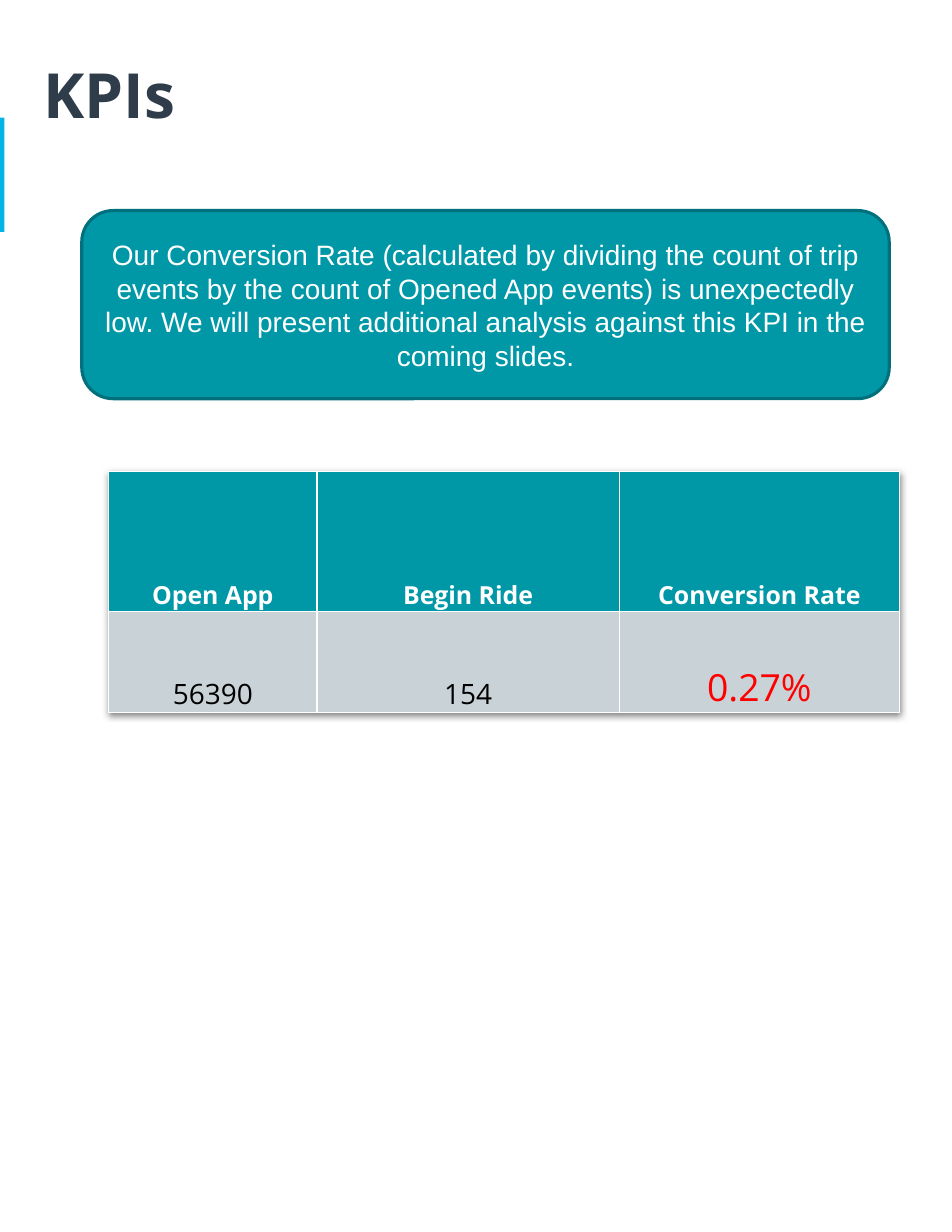
from dataclasses import dataclass

from lxml import etree
from pptx import Presentation
from pptx.dml.color import RGBColor
from pptx.enum.shapes import MSO_SHAPE
from pptx.enum.text import MSO_ANCHOR, PP_ALIGN
from pptx.oxml import parse_xml
from pptx.oxml.ns import nsdecls, qn
from pptx.util import Inches, Pt

RECT, ROUNDED = MSO_SHAPE.RECTANGLE, MSO_SHAPE.ROUNDED_RECTANGLE
LEFT, CENTER = PP_ALIGN.LEFT, PP_ALIGN.CENTER
TOP, MIDDLE, BOTTOM = MSO_ANCHOR.TOP, MSO_ANCHOR.MIDDLE, MSO_ANCHOR.BOTTOM

SLIDE_W, SLIDE_H = Inches(8.5), Inches(11)
COLS, ROWS = 34, 44


@dataclass(frozen=True)
class Theme:
    """Colours, fonts and type sizes of the deck."""
    teal: str = "0097A7"
    teal_dark: str = "00707C"
    cyan: str = "02B4E5"
    navy: str = "2E3D49"
    gray: str = "C9D3D7"
    white: str = "FFFFFF"
    black: str = "000000"
    red: str = "FF0000"
    heading_font: str = "Open Sans"
    body_font: str = "Arial"
    title: int = 40
    highlight: int = 24
    body: int = 18
    label: int = 16


THEME = Theme()


def col(n):
    """Return the width of n grid columns."""
    return int(SLIDE_W * n / COLS)


def row(n):
    """Return the height of n grid rows."""
    return int(SLIDE_H * n / ROWS)


def place(box):
    """Turn a box in grid units into left, top, width and height."""
    x, y, w, h = box
    return col(x), row(y), col(w), row(h)


def write(tf, text, *, size, color, font=THEME.heading_font, bold=False,
          align=LEFT, spacing=None):
    """Put one formatted paragraph in a text frame."""
    tf.word_wrap = True
    p = tf.paragraphs[0]
    p.alignment = align
    if spacing:
        p.line_spacing = spacing
    r = p.add_run()
    r.text = text
    r.font.size, r.font.name, r.font.bold = Pt(size), font, bold
    r.font.color.rgb = RGBColor.from_string(color)


def add_panel(s, kind, box, fill, line=None):
    """Add a filled shape with an optional outline."""
    sp = s.shapes.add_shape(kind, *place(box))
    sp.shadow.inherit = False
    sp.fill.solid()
    sp.fill.fore_color.rgb = RGBColor.from_string(fill)
    if line:
        sp.line.color.rgb = RGBColor.from_string(line)
        sp.line.width = Pt(2)
    else:
        sp.line.fill.background()
    return sp


def add_title(s, box, text):
    """Add the slide heading."""
    tf = s.shapes.add_textbox(*place(box)).text_frame
    tf.margin_left = tf.margin_right = Inches(0.1)
    tf.margin_top = tf.margin_bottom = Inches(0.1)
    tf.vertical_anchor = TOP
    write(tf, text, size=THEME.title, color=THEME.navy, bold=True, spacing=1.15)


def add_callout(s, box, text):
    """Add the rounded panel that states the finding."""
    tf = add_panel(s, ROUNDED, box, THEME.teal, THEME.teal_dark).text_frame
    tf.vertical_anchor = MIDDLE
    write(tf, text, size=THEME.body, color=THEME.white, font=THEME.body_font,
          align=CENTER)


def add_borders(cell, color, width):
    """Draw all four borders of a table cell."""
    tc_pr = cell._tc.get_or_add_tcPr()
    for i, side in enumerate(("lnL", "lnR", "lnT", "lnB")):
        ln = etree.Element(qn(f"a:{side}"), w=str(Pt(width)))
        fill = etree.SubElement(ln, qn("a:solidFill"))
        etree.SubElement(fill, qn("a:srgbClr"), val=color)
        tc_pr.insert(i, ln)


def add_table_shadow(table):
    """Give a table a soft outer shadow."""
    table._tbl.tblPr.insert(0, parse_xml(
        f'<a:effectLst {nsdecls("a")}><a:outerShdw blurRad="57150" dist="19050" '
        'dir="5400000"><a:srgbClr val="000000"><a:alpha val="50000"/></a:srgbClr>'
        '</a:outerShdw></a:effectLst>'))


def add_kpi_table(s, box, widths, heights, metrics):
    """Add a table with one column for each metric label and value."""
    table = s.shapes.add_table(2, len(metrics), *place(box)).table
    add_table_shadow(table)
    for column, width in zip(table.columns, widths):
        column.width = col(width)
    for line, height in zip(table.rows, heights):
        line.height = row(height)
    for c, (label, value, value_format) in enumerate(metrics):
        head = dict(size=THEME.label, color=THEME.white, bold=True)
        body = dict(size=THEME.body, color=THEME.black) | value_format
        parts = ((label, THEME.teal, head), (value, THEME.gray, body))
        for r, (text, fill, style) in enumerate(parts):
            cell = table.cell(r, c)
            cell.fill.solid()
            cell.fill.fore_color.rgb = RGBColor.from_string(fill)
            cell.margin_left = cell.margin_right = cell.margin_top = Inches(0.01)
            cell.margin_bottom = 0
            cell.vertical_anchor = BOTTOM
            write(cell.text_frame, text, align=CENTER, **style)
            add_borders(cell, THEME.white, 1)


def main():
    """Build and save the KPI slide."""
    prs = Presentation()
    prs.slide_width, prs.slide_height = SLIDE_W, SLIDE_H
    s = prs.slides.add_slide(prs.slide_layouts[6])
    add_panel(s, RECT, (0, 4.2, 0.16, 4.08), THEME.cyan)
    add_title(s, (1.16, 1.2, 31.68, 4.88), "KPIs")
    add_kpi_table(
        s, (3.88, 16.84, 28.24, 8.6), (7.44, 10.8, 10), (5, 3.6),
        (("Open App", "56390", {}),
         ("Begin Ride", "154", {}),
         ("Conversion Rate", "0.27%",
          dict(size=THEME.highlight, color=THEME.red))))
    add_callout(
        s, (2.92, 7.52, 28.84, 6.72),
        "Our Conversion Rate (calculated by dividing the count of trip events "
        "by the count of Opened App events) is unexpectedly low. We will present "
        "additional analysis against this KPI in the coming slides.")
    prs.save("out.pptx")


if __name__ == "__main__":
    main()
